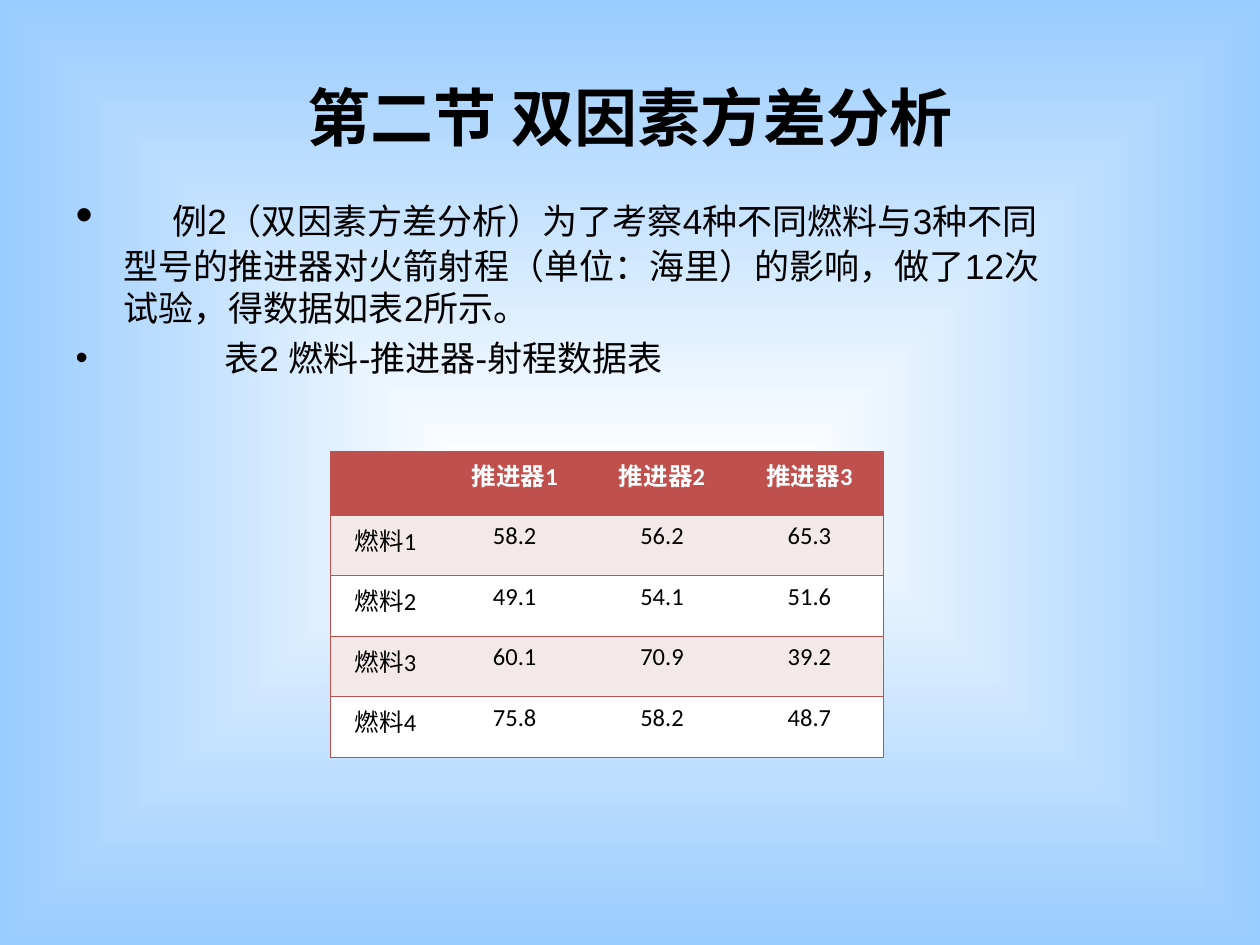
from dataclasses import dataclass

from lxml import etree
from pptx import Presentation
from pptx.dml.color import RGBColor
from pptx.enum.text import MSO_ANCHOR, PP_ALIGN
from pptx.oxml.ns import qn
from pptx.util import Inches, Pt

CENTER, LEFT = PP_ALIGN.CENTER, PP_ALIGN.LEFT
MIDDLE, TOP = MSO_ANCHOR.MIDDLE, MSO_ANCHOR.TOP


@dataclass(frozen=True)
class Theme:
    ink: str = "000000"
    paper: str = "FFFFFF"
    sky: str = "99CCFF"
    accent: str = "C0504D"
    band: str = "F4E9E9"
    text_font: str = "Arial"
    table_font: str = "Calibri"
    title_size: float = 36
    lead_size: float = 28
    body_size: float = 20
    cell_size: float = 14
    rule_width: float = 0.45


THEME = Theme()

TITLE = "第二节 双因素方差分析"
EXAMPLE = (
    "例2（双因素方差分析）为了考察4种不同燃料与3种不同型号的推进器"
    "对火箭射程（单位：海里）的影响，做了12次试验，得数据如表2所示。"
)
CAPTION = "表2 燃料-推进器-射程数据表"
RANGES = [
    ["", "推进器1", "推进器2", "推进器3"],
    ["燃料1", "58.2", "56.2", "65.3"],
    ["燃料2", "49.1", "54.1", "51.6"],
    ["燃料3", "60.1", "70.9", "39.2"],
    ["燃料4", "75.8", "58.2", "48.7"],
]


def place(box, left, top, width, height):
    box.left, box.top = Inches(left), Inches(top)
    box.width, box.height = Inches(width), Inches(height)


def add_span(para, text, size, color=THEME.ink, font=THEME.text_font, bold=False):
    span = para.add_run()
    span.text = text
    span.font.size = Pt(size)
    span.font.name = font
    span.font.bold = bold
    span.font.color.rgb = RGBColor.from_string(color)


def set_bullet(para, hang):
    """Put a bullet at the left edge and start the text `hang` inches in."""
    props = para._p.get_or_add_pPr()
    props.set("marL", str(Inches(hang)))
    props.set("indent", str(-Inches(hang)))
    color = etree.SubElement(props, qn("a:buClr"))
    etree.SubElement(color, qn("a:srgbClr"), val=THEME.ink)
    etree.SubElement(props, qn("a:buFont"), typeface=THEME.text_font)
    etree.SubElement(props, qn("a:buChar"), char="•")


def paint_background(page):
    """Fill the page with a rectangular gradient that spreads from its centre."""
    fill = page.background.fill
    fill.gradient()
    for stop, position, color in zip(fill.gradient_stops, (0, 1), (THEME.paper, THEME.sky)):
        stop.position = position
        stop.color.rgb = RGBColor.from_string(color)
    linear = next(page.background._cSld.iter(qn("a:lin")))
    spread = etree.Element(qn("a:path"), path="rect")
    etree.SubElement(spread, qn("a:fillToRect"), dict.fromkeys("ltrb", "50000"))
    linear.getparent().replace(linear, spread)


def fill_title(page):
    title = page.shapes.title
    place(title, 0.5, 0.3, 9, 1.25)
    title.text_frame.vertical_anchor = MIDDLE
    para = title.text_frame.paragraphs[0]
    para.alignment = CENTER
    add_span(para, TITLE, THEME.title_size, bold=True)


def fill_body(page):
    body = page.placeholders[1]
    place(body, 0.5, 1.42, 8, 2)
    frame = body.text_frame
    frame.vertical_anchor = TOP

    example = frame.paragraphs[0]
    set_bullet(example, 0.38)
    example.space_before = Pt(0)
    add_span(example, "　", THEME.lead_size)
    add_span(example, EXAMPLE, THEME.body_size)

    caption = frame.add_paragraph()
    set_bullet(caption, 1.18)
    caption.space_before = Pt(5)
    add_span(caption, CAPTION, THEME.body_size)

    for para in frame.paragraphs:
        para.alignment = LEFT


def set_borders(cell, ruled_sides):
    props = cell._tc.get_or_add_tcPr()
    for index, side in enumerate("LRTB"):
        line = etree.Element(qn(f"a:ln{side}"), w=str(Pt(THEME.rule_width)))
        if side in ruled_sides:
            fill = etree.SubElement(line, qn("a:solidFill"))
            etree.SubElement(fill, qn("a:srgbClr"), val=THEME.accent)
        else:
            etree.SubElement(line, qn("a:noFill"))
        props.insert(index, line)


def fill_cell(cell, text, fill, color, bold):
    cell.fill.solid()
    cell.fill.fore_color.rgb = RGBColor.from_string(fill)
    para = cell.text_frame.paragraphs[0]
    para.alignment = CENTER
    if text:
        add_span(para, text, THEME.cell_size, color, THEME.table_font, bold)


def add_range_table(page):
    row_count, column_count = len(RANGES), len(RANGES[0])
    frame = page.shapes.add_table(
        row_count, column_count, Inches(2.62), Inches(3.58), Inches(4.39), Inches(2.43)
    )
    table = frame.table
    for index, column in enumerate(table.columns):
        column.width = Inches(1.17 if index else 0.88)
    for index, row in enumerate(table.rows):
        row.height = Inches(0.48 if index else 0.51)

    for r, values in enumerate(RANGES):
        header = r == 0
        fill = THEME.accent if header else (THEME.paper, THEME.band)[r % 2]
        color = THEME.paper if header else THEME.ink
        for c, value in enumerate(values):
            cell = table.cell(r, c)
            fill_cell(cell, value, fill, color, header)
            sides = {0: "LTB", column_count - 1: "RTB"}.get(c, "TB")
            set_borders(cell, sides)


def main():
    deck = Presentation()
    deck.slide_width, deck.slide_height = Inches(10), Inches(7.5)
    page = deck.slides.add_slide(deck.slide_layouts[1])
    paint_background(page)
    fill_title(page)
    fill_body(page)
    add_range_table(page)
    deck.save("out.pptx")


if __name__ == "__main__":
    main()
